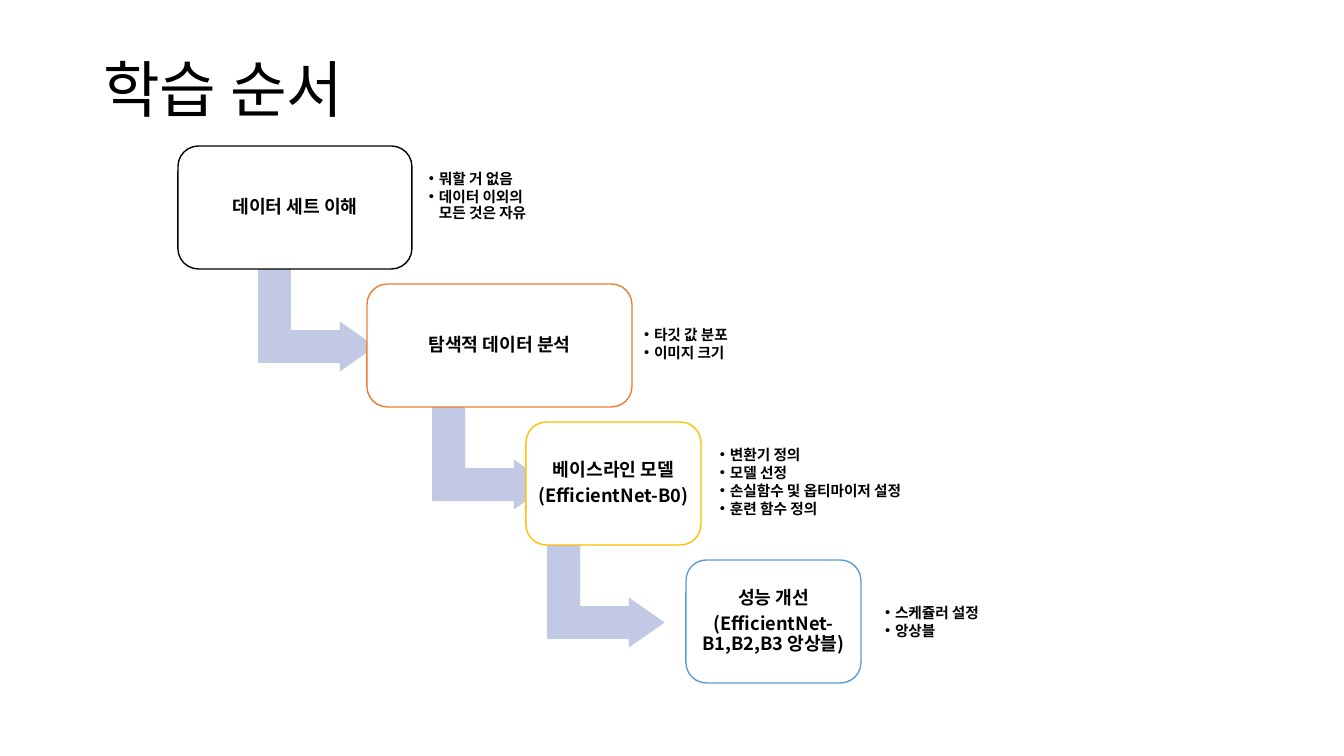
from dataclasses import dataclass
from pptx import Presentation
from pptx.dml.color import RGBColor as RGB
from pptx.enum.shapes import MSO_SHAPE as SHAPE
from pptx.enum.text import MSO_ANCHOR as ANCHOR, MSO_AUTO_SIZE as FIT, PP_ALIGN as ALIGN
from pptx.oxml.ns import qn
from pptx.util import Pt
from lxml import etree

TITLE = "학습 순서"
STEPS = [
    dict(lines=["데이터 세트 이해"], x=178, w=234, edge="000000", arrow_x=265,
         notes=["뭐할 거 없음", "데이터 이외의 모든 것은 자유"],
         notes_x=424, notes_w=128, notes_shift=-10),
    dict(lines=["탐색적 데이터 분석"], x=367, w=265, edge="ED7D31", arrow_x=439,
         notes=["타깃 값 분포", "이미지 크기"],
         notes_x=639, notes_w=128, notes_shift=0),
    dict(lines=["베이스라인 모델", "(EfficientNet-B0)"], x=526, w=175, edge="FFC000", arrow_x=554,
         notes=["변환기 정의", "모델 선정", "손실함수 및 옵티마이저 설정", "훈련 함수 정의"],
         notes_x=715, notes_w=237, notes_shift=0),
    dict(lines=["성능 개선", "(EfficientNet-B1,B2,B3 앙상블)"], x=686, w=175, edge="5B9BD5", arrow_x=None,
         notes=["스케쥴러 설정", "앙상블"],
         notes_x=880, notes_w=128, notes_shift=2),
]


@dataclass(frozen=True)
class Theme:
    font: str = "Noto Sans CJK KR"
    ink: str = "000000"
    paper: str = "FFFFFF"
    arrow: str = "C1C9E4"
    title: float = 44
    step: float = 13
    note: float = 10.5


T = Theme()
EMU_PER_PX = 914400 / 100.8
TOP, STEP_H, PITCH = 146, 123, 138
ARROW_W, ARROW_H, ARROW_DROP = 104, 119, 115
NOTES_H, NOTES_DROP = 99, 11
INSET, INDENT = 5, 10
ARROW_ADJ = (0.328, 0.25, 0.358)


def px(n):
    return round(n * EMU_PER_PX)


def place(sp, x, y, w, h):
    sp.left, sp.top, sp.width, sp.height = px(x), px(y), px(w), px(h)


def write(tf, lines, size, align, bold=True, after=0, bullet=False):
    tf.word_wrap = True
    tf.auto_size = FIT.NONE
    tf.vertical_anchor = ANCHOR.MIDDLE
    tf.text = "\n".join(lines)
    for p in tf.paragraphs:
        p.alignment = align
        p.line_spacing = 0.9
        p.space_before, p.space_after = Pt(0), Pt(after)
        f = p.font
        f.name, f.size, f.bold = T.font, Pt(size), bold
        f.color.rgb = RGB.from_string(T.ink)
        pPr = p._p.get_or_add_pPr()
        props = pPr.find(qn("a:defRPr"))
        props.find(qn("a:latin")).addnext(etree.Element(qn("a:ea"), typeface=T.font))
        if bullet:
            pPr.set("marL", str(px(INDENT)))
            pPr.set("indent", str(-px(INDENT)))
            props.addprevious(etree.Element(qn("a:buChar"), char="•"))


def inset(tf):
    tf.margin_left = tf.margin_right = tf.margin_top = tf.margin_bottom = px(INSET)


def add_shape(s, kind, box, fill, edge, width):
    sp = s.shapes.add_shape(kind, *map(px, box))
    sp.shadow.inherit = False
    sp.fill.solid()
    sp.fill.fore_color.rgb = RGB.from_string(fill)
    sp.line.color.rgb = RGB.from_string(edge)
    sp.line.width = Pt(width)
    return sp


def add_step(s, i, step, notes):
    y = TOP + i * PITCH
    if step["arrow_x"] is not None:
        arrow = add_shape(s, SHAPE.BENT_UP_ARROW,
                          (step["arrow_x"], y + ARROW_DROP, ARROW_W, ARROW_H),
                          T.arrow, T.paper, 0.5)
        arrow.rotation = 90
        for k, value in enumerate(ARROW_ADJ):
            arrow.adjustments[k] = value
    box = add_shape(s, SHAPE.ROUNDED_RECTANGLE, (step["x"], y, step["w"], STEP_H),
                    T.paper, step["edge"], 1)
    inset(box.text_frame)
    write(box.text_frame, step["lines"], T.step, ALIGN.CENTER, after=4.5)
    place(notes, step["notes_x"], y + NOTES_DROP + step["notes_shift"], step["notes_w"], NOTES_H)
    inset(notes.text_frame)
    write(notes.text_frame, step["notes"], T.note, ALIGN.LEFT, after=1.6, bullet=True)


def main():
    prs = Presentation()
    prs.slide_width, prs.slide_height = px(1344), px(756)
    s = prs.slides.add_slide(prs.slide_layouts.get_by_name("Comparison"))
    title, *bodies = s.placeholders
    place(title, 93, 20, 1159, 146)
    write(title.text_frame, [TITLE], T.title, ALIGN.LEFT, bold=False)
    for i, (step, notes) in enumerate(zip(STEPS, bodies)):
        add_step(s, i, step, notes)
    prs.save("out.pptx")


if __name__ == "__main__":
    main()
